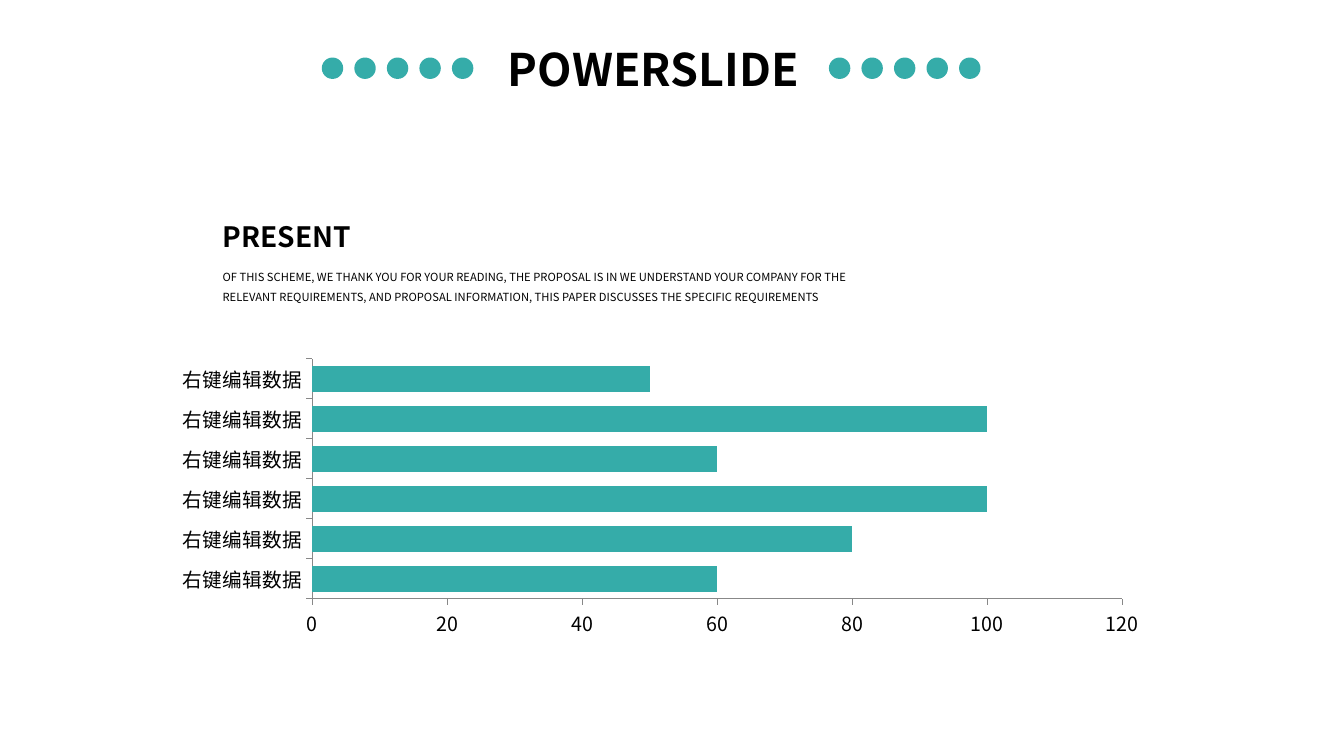
from lxml import etree
from pptx import Presentation
from pptx.chart.data import CategoryChartData
from pptx.dml.color import RGBColor
from pptx.enum import chart as charts, shapes, text
from pptx.oxml import parse_xml
from pptx.oxml.ns import nsdecls, qn
from pptx.util import Cm, Pt

# Content
TITLE = "POWERSLIDE"
HEADING = "PRESENT"
BODY = (
    "OF THIS SCHEME, WE THANK YOU FOR YOUR READING, THE PROPOSAL IS IN WE "
    "UNDERSTAND YOUR COMPANY FOR THE RELEVANT REQUIREMENTS, AND PROPOSAL "
    "INFORMATION, THIS PAPER DISCUSSES THE SPECIFIC REQUIREMENTS"
)
CATEGORY = "右键编辑数据"
VALUES = [60, 80, 100, 60, 100, 50]

# Style
FONT = "Noto Sans CJK JP"
TEAL = RGBColor(0x35, 0xAC, 0xA9)
BLACK = RGBColor(0, 0, 0)
GREY = RGBColor(0x88, 0x88, 0x88)

# Layout in centimetres
DOT_ROW_LEFTS = (8.11, 20.89)
DOTS_PER_ROW, DOT_TOP, DOT_SIZE, DOT_STEP = 5, 1.45, 0.54, 0.82
PLOT_AREA = {"x": 0.266, "y": 0, "w": 0.704, "h": 0.772}


def write(shape, words, size, bold=False, wrap=False, spacing=1.0, align=text.PP_ALIGN.LEFT):
    frame = shape.text_frame
    frame.word_wrap = wrap
    frame.auto_size = text.MSO_AUTO_SIZE.NONE
    frame.vertical_anchor = text.MSO_ANCHOR.TOP
    paragraph = frame.paragraphs[0]
    paragraph.alignment = align
    paragraph.line_spacing = spacing
    run = paragraph.add_run()
    run.text = words
    run.font.name = FONT
    run.font.size = Pt(size)
    run.font.bold = bold
    run.font.color.rgb = BLACK


def add_bar_chart(slide):
    data = CategoryChartData()
    data.categories = [CATEGORY] * len(VALUES)
    data.add_series("Series 1", VALUES)
    chart = slide.shapes.add_chart(
        charts.XL_CHART_TYPE.BAR_STACKED, Cm(0.15), Cm(9.03), Cm(29.01), Cm(7.85), data
    ).chart
    chart.has_legend = False
    chart.has_title = False
    chart.font.name = FONT
    chart.font.size = Pt(14)
    chart.font.color.rgb = BLACK

    # East Asian font for the category labels
    latin = chart.element.find(".//" + qn("a:latin"))
    east_asian = etree.Element(qn("a:ea"), typeface=FONT)
    latin.addnext(east_asian)

    plot = chart.plots[0]
    plot.gap_width = 50
    plot.overlap = 100
    plot.vary_by_categories = False
    fill = plot.series[0].format.fill
    fill.solid()
    fill.fore_color.rgb = TEAL

    for axis in (chart.category_axis, chart.value_axis):
        axis.has_major_gridlines = False
        axis.major_tick_mark = charts.XL_TICK_MARK.OUTSIDE
        axis.minor_tick_mark = charts.XL_TICK_MARK.NONE
        axis.format.line.color.rgb = GREY
        axis.format.line.width = Pt(0.75)
    chart.value_axis.minimum_scale = 0
    chart.value_axis.maximum_scale = 120
    chart.value_axis.major_unit = 20

    # Fixed inner plot area
    modes = "".join(f'<c:{side}Mode val="edge"/>' for side in "xy")
    sizes = "".join(f'<c:{side} val="{share}"/>' for side, share in PLOT_AREA.items())
    layout = parse_xml(
        f'<c:layout {nsdecls("c")}><c:manualLayout><c:layoutTarget val="inner"/>'
        f"{modes}{sizes}</c:manualLayout></c:layout>"
    )
    plot_area = chart.element.find(".//" + qn("c:plotArea"))
    for old_layout in plot_area.findall(qn("c:layout")):
        plot_area.remove(old_layout)
    plot_area.insert(0, layout)


def add_dots(slide):
    for row_left in DOT_ROW_LEFTS:
        for index in range(DOTS_PER_ROW):
            dot = slide.shapes.add_shape(
                shapes.MSO_SHAPE.OVAL, Cm(row_left + index * DOT_STEP), Cm(DOT_TOP),
                Cm(DOT_SIZE), Cm(DOT_SIZE)
            )
            dot.shadow.inherit = False
            dot.fill.solid()
            dot.fill.fore_color.rgb = TEAL
            dot.line.fill.background()


def main():
    presentation = Presentation()
    presentation.slide_width = Cm(33.87)
    presentation.slide_height = Cm(19.05)
    slide = presentation.slides.add_slide(presentation.slide_layouts[5])

    # Title between two rows of dots
    title = slide.shapes.title
    title.left, title.top, title.width, title.height = Cm(12.02), Cm(0.92), Cm(8.9), Cm(1.63)
    write(title, TITLE, 32, bold=True, align=text.PP_ALIGN.CENTER)
    add_dots(slide)

    # Chart with its introduction
    add_bar_chart(slide)
    heading = slide.shapes.add_textbox(Cm(5.36), Cm(5.4), Cm(3.81), Cm(1.12))
    write(heading, HEADING, 20, bold=True)
    body = slide.shapes.add_textbox(Cm(5.36), Cm(6.52), Cm(17.45), Cm(1.73))
    write(body, BODY, 8, wrap=True, spacing=1.5)

    presentation.save("out.pptx")


if __name__ == "__main__":
    main()
